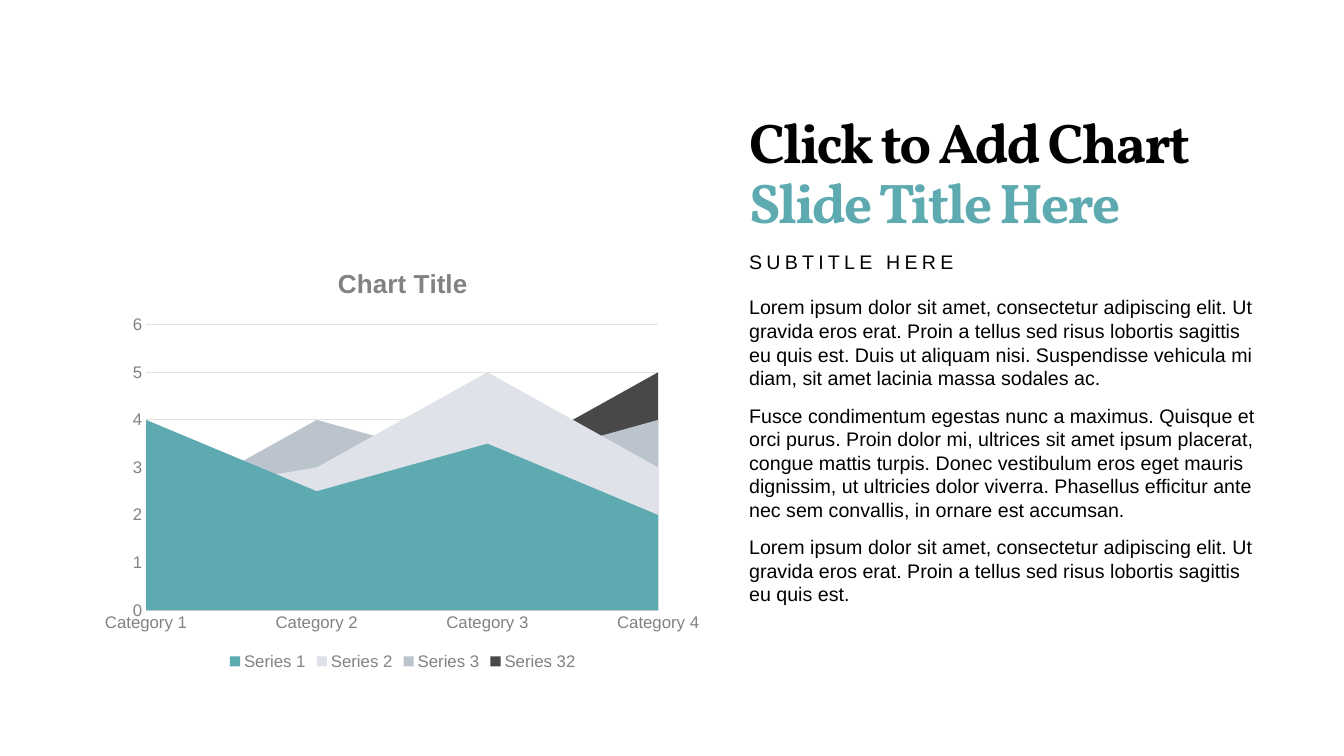
from pptx import Presentation
from pptx.chart.data import CategoryChartData as Data
from pptx.dml.color import RGBColor as RGB
from pptx.enum.chart import XL_CHART_TYPE as Kind, XL_LEGEND_POSITION as Side, XL_TICK_MARK as Tick
from pptx.enum.text import MSO_ANCHOR as Anchor, MSO_AUTO_SIZE as Fit, PP_ALIGN as Align
from pptx.util import Inches, Pt
from pptx.oxml import parse_xml
from pptx.oxml.ns import nsdecls, qn

BLACK = RGB(0x00, 0x00, 0x00)
TEAL = RGB(0x5D, 0xAA, 0xB0)
PALE = RGB(0xDF, 0xE3, 0xE9)
STEEL = RGB(0xBB, 0xC3, 0xCD)
DARK = RGB(0x48, 0x48, 0x48)
GRAY = RGB(0x82, 0x82, 0x82)
RULE = RGB(0xE2, 0xE2, 0xE2)
INK = RGB(0x3F, 0x3F, 0x3F)


def write(par, text, size=14, color=BLACK, face="Arial", bold=False, track=0, lead=1.0, before=10):
    """Add a run to a plain left-aligned paragraph without a bullet."""
    par.alignment = Align.LEFT
    par.line_spacing = lead
    par.space_before = Pt(before)
    props = par._p.get_or_add_pPr()
    props.set("marL", "0")
    props.set("indent", "0")
    if props.find(qn("a:buNone")) is None:
        props.append(parse_xml(f"<a:buNone {nsdecls('a')}/>"))
    run = par.add_run()
    run.text = text
    font = run.font
    font.size, font.name, font.bold = Pt(size), face, bold
    font.color.rgb = color
    run._r.get_or_add_rPr().set("spc", str(int(track * 100)))


def place(box, top, high, anchor=Anchor.TOP):
    """Set a placeholder in the right column and return its text frame."""
    box.left, box.top = Inches(7.43), Inches(top)
    box.width, box.height = Inches(5.21), Inches(high)
    frame = box.text_frame
    frame.word_wrap = True
    frame.auto_size = Fit.NONE
    frame.vertical_anchor = anchor
    frame.margin_left, frame.margin_right = 0, Inches(0.1)
    frame.margin_top = frame.margin_bottom = Inches(0.05)
    return frame


deck = Presentation()
deck.slide_width, deck.slide_height = Inches(13.33), Inches(7.5)
slide = deck.slides.add_slide(deck.slide_layouts[3])
title, body, sub = slide.placeholders

# Title in two colours
head = place(title, 0.92, 1.47, Anchor.BOTTOM).paragraphs[0]
for text, color in (("Click to Add Chart ", BLACK), ("Slide Title Here", TEAL)):
    write(head, text, size=40, color=color, face="Vollkorn", bold=True, track=-1.5, lead=0.9, before=0)

# Body paragraphs
texts = [
    "Lorem ipsum dolor sit amet, consectetur adipiscing elit. Ut gravida eros erat. "
    "Proin a tellus sed risus lobortis sagittis eu quis est. Duis ut aliquam nisi. "
    "Suspendisse vehicula mi diam, sit amet lacinia massa sodales ac.",
    "Fusce condimentum egestas nunc a maximus. Quisque et orci purus. Proin dolor mi, "
    "ultrices sit amet ipsum placerat, congue mattis turpis. Donec vestibulum eros eget "
    "mauris dignissim, ut ultricies dolor viverra. Phasellus efficitur ante nec sem "
    "convallis, in ornare est accumsan.",
    "Lorem ipsum dolor sit amet, consectetur adipiscing elit. Ut gravida eros erat. "
    "Proin a tellus sed risus lobortis sagittis eu quis est.",
]
frame = place(body, 2.88, 3.81)
for i, text in enumerate(texts):
    write(frame.add_paragraph() if i else frame.paragraphs[0], text)

# Subtitle
write(place(sub, 2.46, 0.35).paragraphs[0], "SUBTITLE HERE", track=3, lead=0.9)

# Area chart
rows = [
    ("Series 1", (4, 2.5, 3.5, 2), TEAL),
    ("Series 2", (2.4, 3, 5, 3), PALE),
    ("Series 3", (2, 4, 3, 4), STEEL),
    ("Series 32", (1, 2, 3, 5), DARK),
]
data = Data()
data.categories = [f"Category {n}" for n in range(1, 5)]
for name, vals, _ in rows:
    data.add_series(name, vals)
chart = slide.shapes.add_chart(
    Kind.AREA, Inches(0.92), Inches(2.46), Inches(6.15), Inches(4.23), data).chart
chart.font.size, chart.font.name = Pt(10), "Arial"
chart.font.color.rgb = INK
plot = chart.plots[0]
plot.vary_by_categories = False
for series, (_, _, color) in zip(plot.series, rows):
    series.format.fill.solid()
    series.format.fill.fore_color.rgb = color
    series.format.line.fill.background()

# Chart title
chart.has_title = True
write(chart.chart_title.text_frame.paragraphs[0], "Chart Title", size=18.6, color=GRAY, bold=True, before=0)
chart.chart_title.include_in_layout = False

# Axes and legend
cat, val = chart.category_axis, chart.value_axis
chart.has_legend = True
key = chart.legend
key.position = Side.BOTTOM
key.include_in_layout = False
for font in (cat.tick_labels.font, val.tick_labels.font, key.font):
    font.size, font.name = Pt(12), "Arial"
    font.color.rgb = GRAY
for axis in (cat, val):
    axis.major_tick_mark = axis.minor_tick_mark = Tick.NONE
cat.has_major_gridlines = False
val.has_major_gridlines = True
for line in (cat.format.line, val.major_gridlines.format.line):
    line.color.rgb, line.width = RULE, Pt(0.75)
val.format.line.fill.background()
val.minimum_scale, val.maximum_scale, val.major_unit = 0, 6, 1

# Fixed plot area
area = chart._chartSpace.chart.plotArea
for old in area.findall(qn("c:layout")):
    area.remove(old)
spots = "".join(f'<c:{tag} val="{num}"/>' for tag, num in (
    ("layoutTarget", "inner"), ("xMode", "edge"), ("yMode", "edge"),
    ("x", 0.086), ("y", 0.18), ("w", 0.826), ("h", 0.67)))
area.insert(0, parse_xml(
    f"<c:layout {nsdecls('c')}><c:manualLayout>{spots}</c:manualLayout></c:layout>"))

deck.save("out.pptx")
